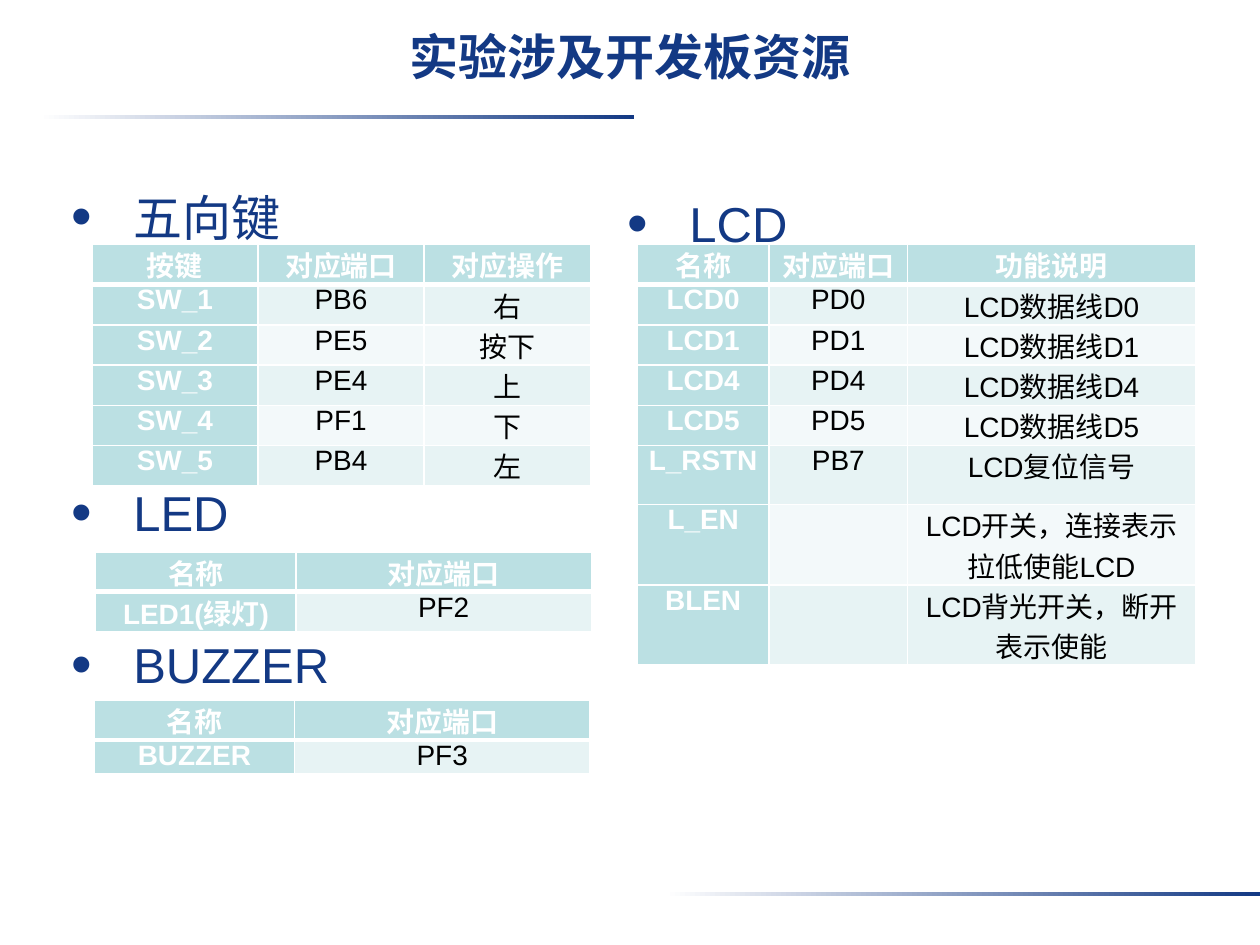
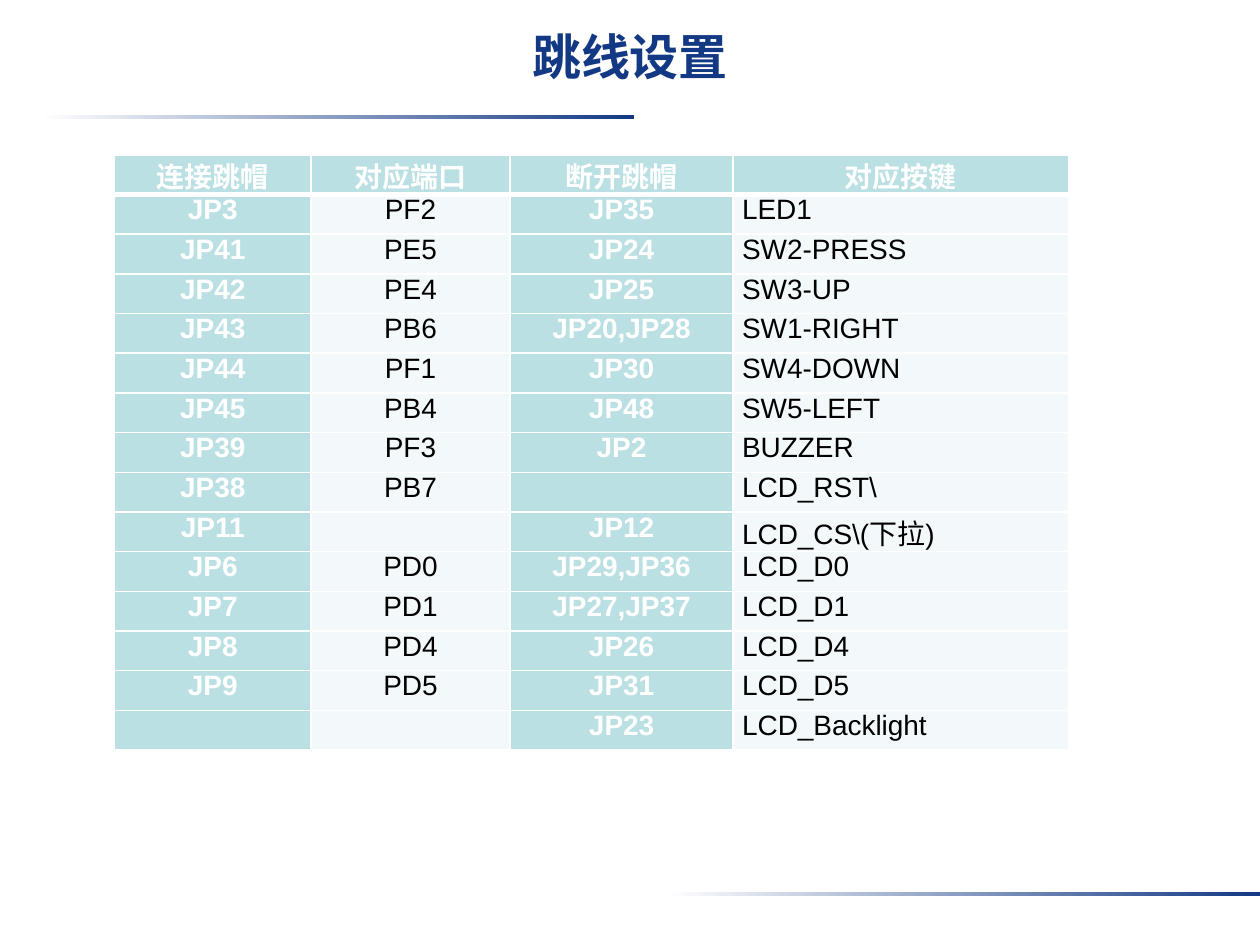
import pptx
import pptx.dml.color
import pptx.enum.shapes
import pptx.enum.text
import pptx.oxml
import pptx.oxml.ns
import pptx.util
from lxml import etree

Cm, Pt = pptx.util.Cm, pptx.util.Pt
PP_ALIGN = pptx.enum.text.PP_ALIGN

FONT = "Arial"
NAVY, WHITE, BLACK = "133984", "FFFFFF", "000000"
TEAL, BAND_DARK, BAND_LIGHT = "BBE0E3", "E7F3F4", "F3F9FA"
SLIDE_WIDTH, SLIDE_HEIGHT = 25.4, 19.05
ROW = 0.8

KEYS = [
    ["按键", "对应端口", "对应操作"],
    ["SW_1", "PB6", "右"],
    ["SW_2", "PE5", "按下"],
    ["SW_3", "PE4", "上"],
    ["SW_4", "PF1", "下"],
    ["SW_5", "PB4", "左"],
]
LED = [["名称", "对应端口"], ["LED1(绿灯)", "PF2"]]
BUZZER = [["名称", "对应端口"], ["BUZZER", "PF3"]]
LCD = [
    ["名称", "对应端口", "功能说明"],
    ["LCD0", "PD0", "LCD数据线D0"],
    ["LCD1", "PD1", "LCD数据线D1"],
    ["LCD4", "PD4", "LCD数据线D4"],
    ["LCD5", "PD5", "LCD数据线D5"],
    ["L_RSTN", "PB7", "LCD复位信号"],
    ["L_EN", "", "LCD开关，连接表示拉低使能LCD"],
    ["BLEN", "", "LCD背光开关，断开表示使能"],
]
JUMPERS = [
    ["连接跳帽", "对应端口", "断开跳帽", "对应按键"],
    ["JP3", "PF2", "JP35", "LED1"],
    ["JP41", "PE5", "JP24", "SW2-PRESS"],
    ["JP42", "PE4", "JP25", "SW3-UP"],
    ["JP43", "PB6", "JP20,JP28", "SW1-RIGHT"],
    ["JP44", "PF1", "JP30", "SW4-DOWN"],
    ["JP45", "PB4", "JP48", "SW5-LEFT"],
    ["JP39", "PF3", "JP2", "BUZZER"],
    ["JP38", "PB7", "", "LCD_RST\\"],
    ["JP11", "", "JP12", "LCD_CS\\(下拉)"],
    ["JP6", "PD0", "JP29,JP36", "LCD_D0"],
    ["JP7", "PD1", "JP27,JP37", "LCD_D1"],
    ["JP8", "PD4", "JP26", "LCD_D4"],
    ["JP9", "PD5", "JP31", "LCD_D5"],
    ["", "", "JP23", "LCD_Backlight"],
]


def rgb(value):
    return pptx.dml.color.RGBColor.from_string(value)


def set_font(paragraph, size, color, bold=False):
    font = paragraph.font
    font.name, font.size, font.bold = FONT, Pt(size), bold
    font.color.rgb = rgb(color)


def add_fading_line(slide, left, top):
    line = slide.shapes.add_shape(
        pptx.enum.shapes.MSO_SHAPE.RECTANGLE, Cm(left), Cm(top), Cm(12), Cm(0.08))
    line.shadow.inherit = False
    line.line.fill.background()
    line.fill.gradient()
    line.fill.gradient_angle = 0
    for stop, color, position in zip(line.fill.gradient_stops, (WHITE, NAVY), (0, 1)):
        stop.color.rgb = rgb(color)
        stop.position = position


def add_text_frame(slide, left, top, width, height):
    box = slide.shapes.add_textbox(Cm(left), Cm(top), Cm(width), Cm(height))
    box.text_frame.word_wrap = True
    return box.text_frame


def add_base_slide(prs, title):
    """Blank slide with the shared title and the two fading lines."""
    slide = prs.slides.add_slide(prs.slide_layouts[6])
    add_fading_line(slide, 0.79, 2.32)
    add_fading_line(slide, SLIDE_WIDTH - 12, 17.98)
    frame = add_text_frame(slide, 0, 0.51, SLIDE_WIDTH, 1.9)
    frame.margin_top = Cm(0.03)
    heading = frame.paragraphs[0]
    heading.text = title
    heading.alignment = PP_ALIGN.CENTER
    set_font(heading, 28, NAVY, bold=True)
    return slide


def add_bullets(slide, left, top, items):
    """Bulleted headings; each item is (text, points of space before)."""
    frame = add_text_frame(slide, left, top, 11.3, 14.07)
    for index, (text, space) in enumerate(items):
        bullet = frame.add_paragraph() if index else frame.paragraphs[0]
        bullet.text = text
        bullet.line_spacing = 1.1
        bullet.space_before = Pt(space)
        set_font(bullet, 28, NAVY)
        props = bullet.line_spacing and bullet._p.get_or_add_pPr()
        props.set("marL", str(Cm(1.25)))
        props.set("indent", str(-Cm(1.25)))
        marks = [("buSzPct", "val", "120000"), ("buFont", "typeface", FONT),
                 ("buChar", "char", "•")]
        defaults = props.find(pptx.oxml.ns.qn("a:defRPr"))
        for tag, key, value in marks:
            mark = etree.Element(pptx.oxml.ns.qn("a:" + tag), {key: value})
            if defaults is None:
                props.append(mark)
            else:
                defaults.addprevious(mark)


def set_borders(cell, top, bottom):
    """White borders; widths in points, 1 pt at the sides."""
    props = cell._tc.get_or_add_tcPr()
    for side, width in (("L", 1), ("R", 1), ("T", top), ("B", bottom)):
        border = etree.SubElement(
            props, pptx.oxml.ns.qn("a:ln" + side), w=str(Pt(width)))
        fill = etree.SubElement(border, pptx.oxml.ns.qn("a:solidFill"))
        etree.SubElement(fill, pptx.oxml.ns.qn("a:srgbClr"), val=WHITE)


def add_grid(slide, left, top, widths, heights, rows, label_columns=(0,),
             bands=(BAND_DARK, BAND_LIGHT), left_columns=()):
    """Table with a header row, label columns and banded values."""
    grid = slide.shapes.add_table(
        len(rows), len(widths), Cm(left), Cm(top),
        Cm(sum(widths)), Cm(sum(heights))).table
    for column, width in zip(grid.columns, widths):
        column.width = Cm(width)
    for row, height in zip(grid.rows, heights):
        row.height = Cm(height)
    for r, texts in enumerate(rows):
        for c, text in enumerate(texts):
            cell = grid.cell(r, c)
            is_label = r == 0 or c in label_columns
            cell.margin_left = cell.margin_right = Cm(0.18)
            cell.margin_top = cell.margin_bottom = 0
            set_borders(cell, top=3 if r == 1 else 1, bottom=3 if r == 0 else 1)
            cell.fill.solid()
            cell.fill.fore_color.rgb = rgb(TEAL if is_label else bands[(r - 1) % 2])
            entry = cell.text_frame.paragraphs[0]
            entry.text = text
            starts_left = r > 0 and c in left_columns
            entry.alignment = PP_ALIGN.LEFT if starts_left else PP_ALIGN.CENTER
            set_font(entry, 16, WHITE if is_label else BLACK, bold=is_label)


def build_resources(prs):
    slide = add_base_slide(prs, "实验涉及开发板资源")
    # Left: keys, LED and buzzer
    add_bullets(slide, 1.19, 3.53, [("五向键", 0), ("LED", 132), ("BUZZER", 49.7)])
    add_grid(slide, 1.85, 4.93, [3.35] * 3, [0.81] * 6, KEYS)
    add_grid(slide, 1.9, 14.12, [4.04, 5.95], [ROW, 0.63], BUZZER)
    add_grid(slide, 1.93, 11.13, [4.04, 5.95], [ROW, ROW], LED)
    # Right: LCD
    add_bullets(slide, 12.4, 3.66, [("LCD", 5.6)])
    add_grid(slide, 12.85, 4.93, [2.65, 2.8, 5.8],
             [0.81] * 5 + [1.19, 1.62, 1.62], LCD)


def build_jumpers(prs):
    slide = add_base_slide(prs, "跳线设置")
    add_grid(slide, 2.31, 3.12, [3.96, 4.01, 4.5, 6.76], [ROW] * len(JUMPERS),
             JUMPERS, label_columns=(0, 2), bands=(BAND_LIGHT, BAND_LIGHT),
             left_columns=(3,))


def main():
    prs = pptx.Presentation()
    prs.slide_width, prs.slide_height = Cm(SLIDE_WIDTH), Cm(SLIDE_HEIGHT)
    build_resources(prs)
    build_jumpers(prs)
    prs.save("out.pptx")


if __name__ == "__main__":
    main()
